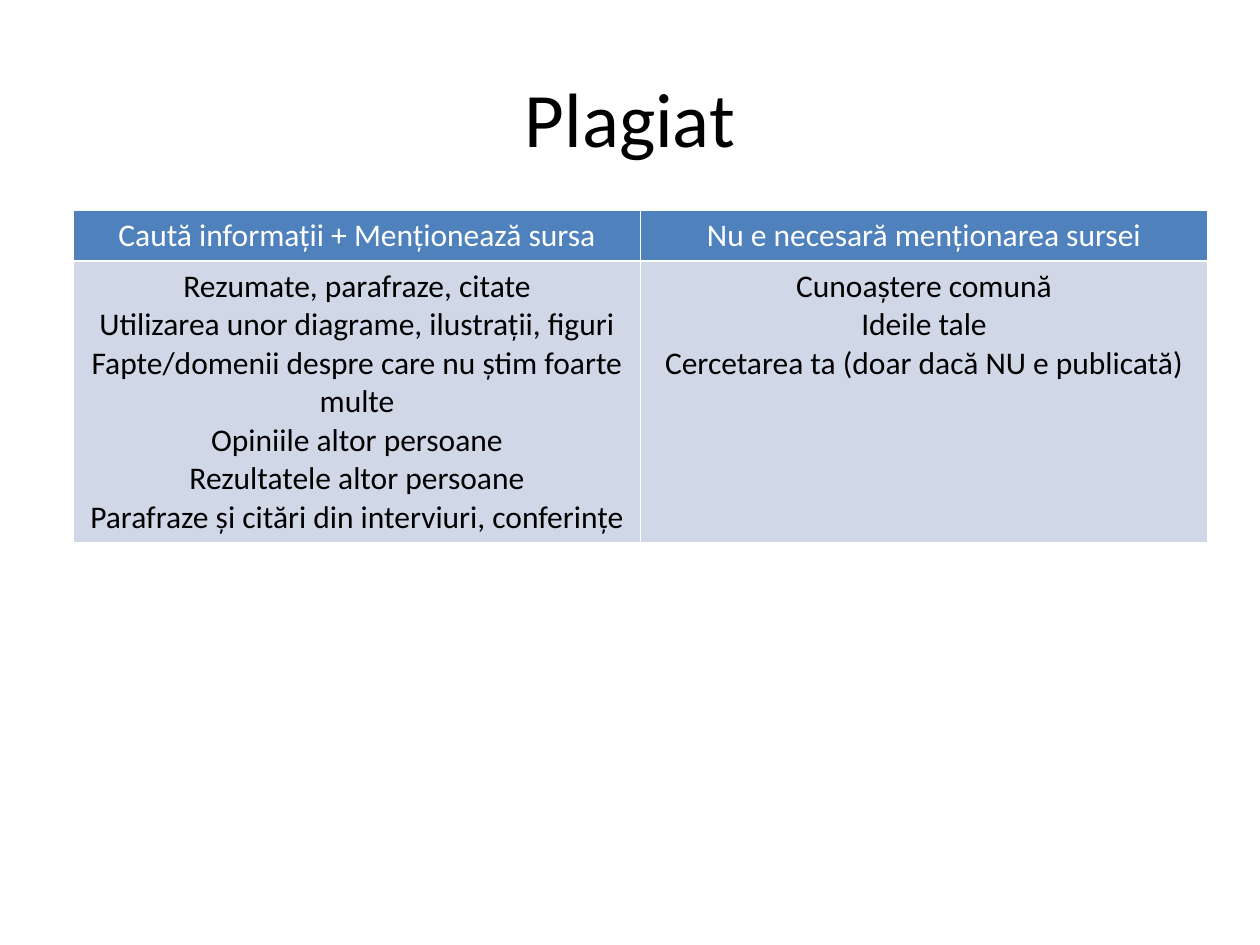
from pptx import Presentation
from pptx.dml.color import RGBColor
from pptx.enum.text import MSO_ANCHOR, PP_ALIGN
from pptx.util import Pt

BLACK = RGBColor(0x00, 0x00, 0x00)
WHITE = RGBColor(0xFF, 0xFF, 0xFF)
HEADER_BLUE = RGBColor(0x4F, 0x81, 0xBD)
BODY_BLUE = RGBColor(0xD0, 0xD8, 0xE8)

COLUMNS = [
    ("Caută informații + Menționează sursa", [
        "Rezumate, parafraze, citate",
        "Utilizarea unor diagrame, ilustrații, figuri",
        "Fapte/domenii despre care nu știm foarte multe",
        "Opiniile altor persoane",
        "Rezultatele altor persoane",
        "Parafraze și citări din interviuri, conferințe",
    ]),
    ("Nu e necesară menționarea sursei", [
        "Cunoaștere comună",
        "Ideile tale",
        "Cercetarea ta (doar dacă NU e publicată)",
    ]),
]


def format_text(frame, size, color):
    for paragraph in frame.paragraphs:
        paragraph.alignment = PP_ALIGN.CENTER
        for run in paragraph.runs:
            run.font.name = "Calibri"
            run.font.size = Pt(size)
            run.font.bold = False
            run.font.color.rgb = color


presentation = Presentation()
presentation.slide_width = Pt(720)
presentation.slide_height = Pt(540)
slide = presentation.slides.add_slide(presentation.slide_layouts[5])

# Title
title = slide.shapes.title
title.left, title.top, title.width, title.height = Pt(36), Pt(21.6), Pt(648), Pt(90)
title.text_frame.text = "Plagiat"
title.text_frame.vertical_anchor = MSO_ANCHOR.MIDDLE
format_text(title.text_frame, 44, BLACK)

# Table: the default style supplies the white rules, thicker under the header
sources = slide.shapes.add_table(
    2, len(COLUMNS), Pt(42), Pt(120), Pt(648), Pt(188)).table
sources.rows[0].height = Pt(29.2)
sources.rows[1].height = Pt(158.8)

for column, (heading, items) in enumerate(COLUMNS):
    sources.columns[column].width = Pt(324)
    rows = [(heading, HEADER_BLUE, WHITE), ("\n".join(items), BODY_BLUE, BLACK)]
    for row, (text, fill_color, text_color) in enumerate(rows):
        cell = sources.cell(row, column)
        cell.fill.solid()
        cell.fill.fore_color.rgb = fill_color
        cell.text_frame.text = text
        format_text(cell.text_frame, 18, text_color)

presentation.save("out.pptx")
